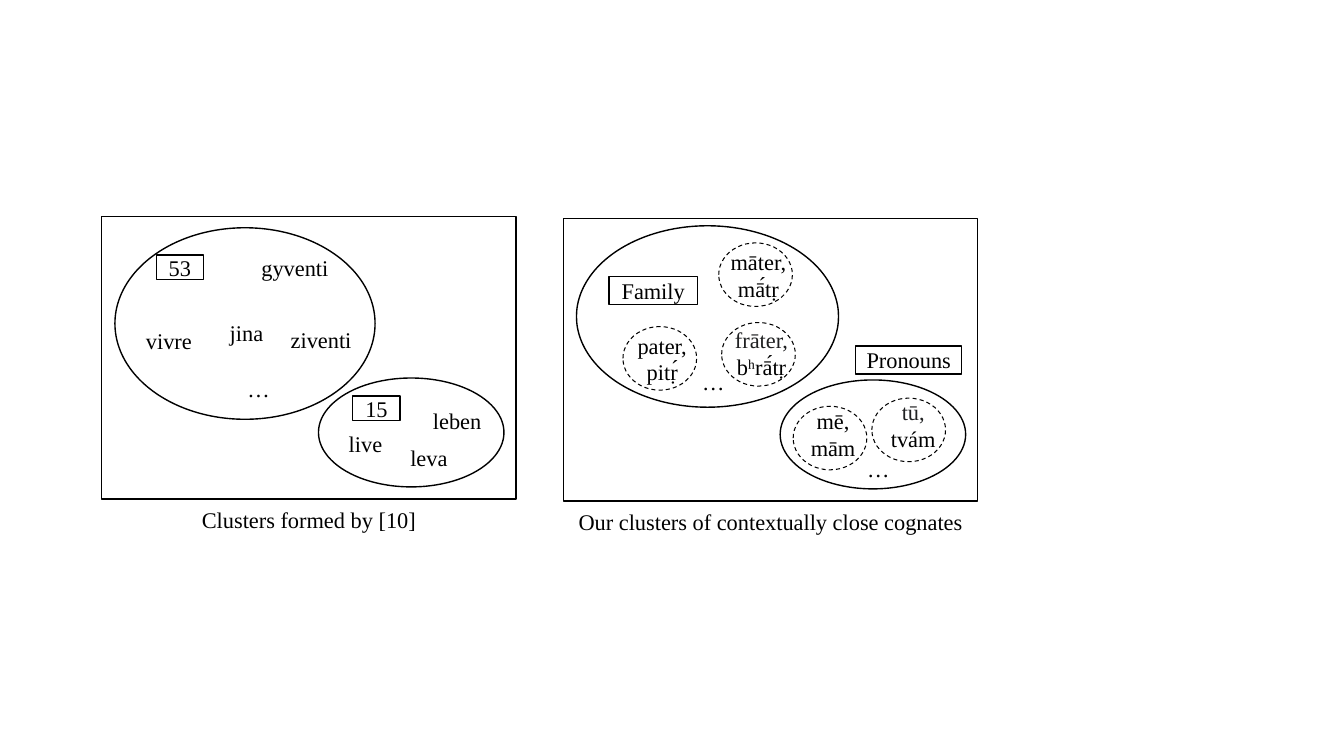
from dataclasses import dataclass

from pptx import Presentation
from pptx.dml.color import RGBColor
from pptx.enum.dml import MSO_LINE
from pptx.enum.shapes import MSO_SHAPE
from pptx.enum.text import MSO_ANCHOR, PP_ALIGN
from pptx.util import Pt

RECTANGLE, OVAL = MSO_SHAPE.RECTANGLE, MSO_SHAPE.OVAL
DASH, CENTER = MSO_LINE.DASH, PP_ALIGN.CENTER
TOP, MIDDLE = MSO_ANCHOR.TOP, MSO_ANCHOR.MIDDLE

BLACK, CHARCOAL, WHITE = "000000", "202122", "FFFFFF"
FONT, TEXT_SIZE = "Times New Roman", 16
WORD_WIDTH, TEXT_HEIGHT = 71.3, 26.6
COGNATE_HEIGHT = 64.8
RING_WIDTH, RING_HEIGHT = 52.6, 45.4


@dataclass(frozen=True)
class Box:
    left: float
    top: float
    width: float
    height: float


@dataclass(frozen=True)
class Label:
    text: str
    box: Box


@dataclass(frozen=True)
class Word:
    text: str
    left: float
    top: float


@dataclass(frozen=True)
class Cognates:
    first: str
    second: str
    left: float
    top: float
    width: float
    ring_left: float
    ring_top: float
    first_color: str = BLACK


PANELS = [Box(72.7, 154.8, 295.9, 201.6), Box(402.5, 156.2, 295.9, 201.6)]
CLUSTERS = [
    Box(82.1, 162.7, 185.8, 136.8),
    Box(227.5, 270, 132.5, 77.8),
    Box(411.8, 161.3, 187.2, 129.6),
    Box(557.3, 271.4, 132.5, 77.8),
]
CAPTIONS = [
    Label("Clusters formed by [10]", Box(126.7, 357.8, 187.9, TEXT_HEIGHT)),
    Label("Our clusters of contextually close cognates",
          Box(402.5, 359.3, 295.9, TEXT_HEIGHT)),
]
CLUSTER_NAMES = [
    Label("53", Box(111.6, 182.2, 33.8, 17.3)),
    Label("15", Box(252, 283, 33.8, 17.3)),
    Label("Family", Box(434.9, 197.3, 63.4, 20.2)),
    Label("Pronouns", Box(611.3, 247, 75.6, 20.2)),
]
WORDS = [
    Word("gyventi", 175, 177.8),
    Word("vivre", 85, 230.4),
    Word("jina", 140.4, 224.6),
    Word("ziventi", 193.7, 229.7),
    Word("…", 149, 264.2),
    Word("leben", 290.9, 287.3),
    Word("live", 225.4, 303.8),
    Word("leva", 270.7, 313.9),
    Word("…", 473.8, 259.2),
    Word("…", 591.8, 321.8),
]
COGNATES = [
    Cognates("māter, ", "mā́tṛ", 501.8, 164.2, 79.9, 513.4, 173.5),
    Cognates("frāter, ", "bʰrā́tṛ", 504, 220.3, 79.9, 515.5, 230.4, CHARCOAL),
    Cognates("pater, ", "pitṛ́", 434.9, 223.9, 76.3, 445, 233.3),
    Cognates("tū, ", "tvám", 617.8, 271.4, 69.1, 622.8, 284.4, CHARCOAL),
    Cognates("mē, ", "mām", 560.9, 277.9, 68.4, 566.6, 290.2),
]


def rgb(value: str) -> RGBColor:
    return RGBColor.from_string(value)


def bounds(box: Box) -> list:
    return [Pt(v) for v in (box.left, box.top, box.width, box.height)]


def add_outline(slide, kind, box: Box, line_width: float = 1, dash=None, fill: str = ""):
    """Draw a shape; a line width of 0 leaves the line out."""
    shape = slide.shapes.add_shape(kind, *bounds(box))
    shape.shadow.inherit = False
    if fill:
        shape.fill.solid()
        shape.fill.fore_color.rgb = rgb(fill)
    else:
        shape.fill.background()
    if line_width:
        shape.line.color.rgb = rgb(BLACK)
        shape.line.width = Pt(line_width)
        if dash is not None:
            shape.line.dash_style = dash
    else:
        shape.line.fill.background()
    return shape


def write(shape, text: str, anchor=TOP, color: str = BLACK):
    frame = shape.text_frame
    frame.word_wrap = True
    frame.vertical_anchor = anchor
    paragraph = frame.paragraphs[0]
    paragraph.alignment = CENTER
    paragraph.font.name = FONT
    paragraph.font.size = Pt(TEXT_SIZE)
    run = paragraph.add_run()
    run.text = text
    run.font.color.rgb = rgb(color)
    return paragraph


def add_word(slide, word: Word) -> None:
    box = Box(word.left, word.top, WORD_WIDTH, TEXT_HEIGHT)
    write(slide.shapes.add_textbox(*bounds(box)), word.text)


def add_cognates(slide, pair: Cognates) -> None:
    area = Box(pair.left, pair.top, pair.width, COGNATE_HEIGHT)
    paragraph = write(add_outline(slide, OVAL, area, line_width=0), pair.first,
                      color=pair.first_color)
    second = paragraph.add_run()
    second.text = pair.second
    second.font.color.rgb = rgb(BLACK)
    ring = Box(pair.ring_left, pair.ring_top, RING_WIDTH, RING_HEIGHT)
    add_outline(slide, OVAL, ring, line_width=0.75, dash=DASH)


def main() -> None:
    deck = Presentation()
    deck.slide_width, deck.slide_height = Pt(960), Pt(540)
    slide = deck.slides.add_slide(deck.slide_layouts[6])

    # Panels and the clusters inside them
    for panel in PANELS:
        add_outline(slide, RECTANGLE, panel)
    for cluster in CLUSTERS:
        add_outline(slide, OVAL, cluster)

    # Captions below the panels
    for caption in CAPTIONS:
        write(add_outline(slide, RECTANGLE, caption.box, line_width=0, fill=WHITE),
              caption.text)

    # Cluster members
    for word in WORDS:
        add_word(slide, word)
    for pair in COGNATES:
        add_cognates(slide, pair)

    # Cluster names
    for name in CLUSTER_NAMES:
        write(add_outline(slide, RECTANGLE, name.box), name.text, MIDDLE)

    deck.save("out.pptx")


if __name__ == "__main__":
    main()
